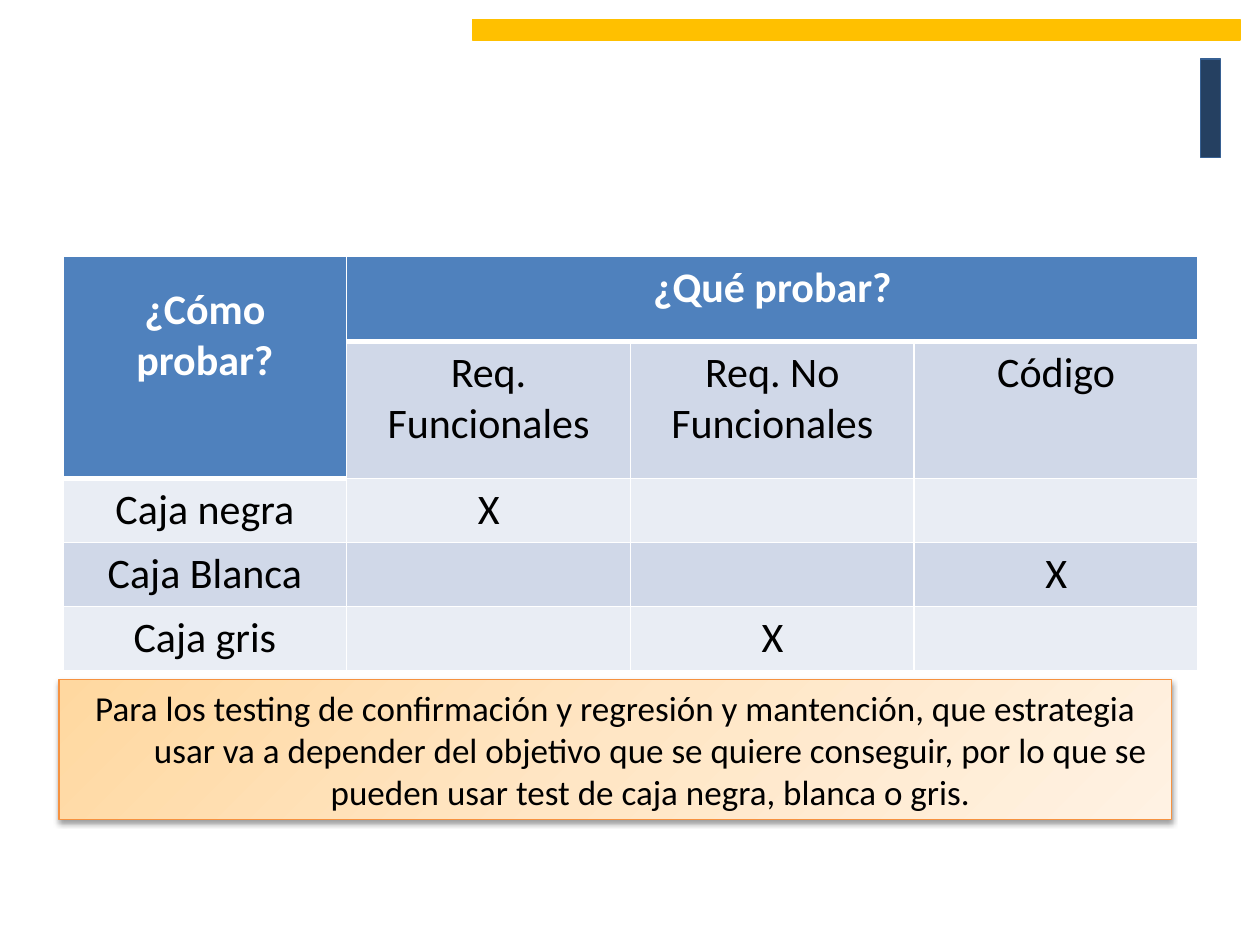
"""Builds a slide relating testing approaches to what is tested."""
from lxml import etree
from pptx import Presentation
from pptx.dml.color import RGBColor
from pptx.enum.shapes import MSO_SHAPE
from pptx.enum.text import MSO_ANCHOR, PP_ALIGN
from pptx.oxml import parse_xml
from pptx.oxml.ns import qn
from pptx.util import Cm, Pt

RECTANGLE = MSO_SHAPE.RECTANGLE
CENTER = PP_ALIGN.CENTER
MIDDLE = MSO_ANCHOR.MIDDLE
NAMESPACE = 'xmlns:a="http://schemas.openxmlformats.org/drawingml/2006/main"'
COLORS = {
    "white": "FFFFFF", "black": "000000", "navy": "254061", "navy line": "376092",
    "yellow": "FFC000", "header": "4F81BD", "dark band": "D0D8E8",
    "light band": "E9EDF4", "orange line": "F69240", "orange": "FFD8A0",
    "peach": "FFE6C5", "cream": "FFF2E3",
}


def rgb(name):
    return RGBColor.from_string(COLORS[name])


class SlideBuilder:
    """Holds the text style and the current slide."""

    def __init__(self, slide, font="Calibri"):
        self.slide = slide
        self.font = font

    def set_text(self, paragraph, text, size, color="black", bold=False):
        paragraph.text = text
        paragraph.alignment = CENTER
        font = paragraph.font
        font.name, font.size, font.bold = self.font, Pt(size), bold
        font.color.rgb = rgb(color)

    def rectangle(self, left, top, width, height, fill, line):
        shape = self.slide.shapes.add_shape(
            RECTANGLE, Cm(left), Cm(top), Cm(width), Cm(height))
        shape.shadow.inherit = False
        shape.fill.solid()
        shape.fill.fore_color.rgb = rgb(fill)
        shape.line.color.rgb = rgb(line)
        shape.line.width = Pt(0.75)
        return shape

    def note(self, left, top, width, height, text):
        shape = self.rectangle(left, top, width, height, "peach", "orange line")
        stops = "".join(
            f'<a:gs pos="{position}"><a:srgbClr val="{COLORS[name]}"/></a:gs>'
            for position, name in ((0, "orange"), (50000, "peach"), (100000, "cream")))
        properties = shape.element.spPr
        properties.replace(properties.find(qn("a:solidFill")), parse_xml(
            f'<a:gradFill {NAMESPACE} rotWithShape="1"><a:gsLst>{stops}</a:gsLst>'
            '<a:lin ang="2700000" scaled="0"/></a:gradFill>'))
        properties.find(qn("a:effectLst")).append(parse_xml(
            f'<a:outerShdw {NAMESPACE} blurRad="{Pt(3.1)}" dist="{Pt(1.6)}" dir="5400000" '
            f'rotWithShape="0"><a:srgbClr val="{COLORS["black"]}">'
            '<a:alpha val="38000"/></a:srgbClr></a:outerShdw>'))
        frame = shape.text_frame
        frame.word_wrap = True
        frame.vertical_anchor = MIDDLE
        paragraph = frame.paragraphs[0]
        self.set_text(paragraph, text, 20)
        indent = paragraph._p.get_or_add_pPr()
        indent.set("marL", str(Cm(1.42)))
        indent.set("indent", str(-Cm(1.42)))

    def border(self, cell, bottom):
        properties = cell._tc.get_or_add_tcPr()
        for side, width in (("L", 1), ("R", 1), ("T", 1), ("B", bottom)):
            line = etree.SubElement(properties, qn(f"a:ln{side}"), w=str(Pt(width)))
            fill = etree.SubElement(line, qn("a:solidFill"))
            etree.SubElement(fill, qn("a:srgbClr"), val=COLORS["white"])

    def table(self, left, top, column_width, row_heights, rows, merges):
        columns = len(rows[0])
        table = self.slide.shapes.add_table(
            len(rows), columns, Cm(left), Cm(top),
            Cm(column_width * columns), Cm(sum(row_heights))).table
        for column in table.columns:
            column.width = Cm(column_width)
        for row_index, texts in enumerate(rows):
            table.rows[row_index].height = Cm(row_heights[row_index])
            band = "dark band" if row_index % 2 else "light band"
            for column_index, text in enumerate(texts):
                cell = table.cell(row_index, column_index)
                header = row_index == 0 or (row_index, column_index) == (1, 0)
                self.border(cell, 3 if header else 1)
                cell.fill.solid()
                cell.fill.fore_color.rgb = rgb("header" if header else band)
                self.set_text(cell.text_frame.paragraphs[0], text, 24,
                              "white" if header else "black", header)
        for first, last in merges:
            table.cell(*first).merge(table.cell(*last))
        return table


presentation = Presentation()
presentation.slide_width, presentation.slide_height = Cm(25.4), Cm(19.05)
builder = SlideBuilder(presentation.slides.add_slide(presentation.slide_layouts[6]))

builder.rectangle(24.2, 1.19, 0.41, 1.98, "navy", "navy line")
builder.rectangle(9.53, 0.4, 15.47, 0.41, "yellow", "yellow")
strategies = builder.table(
    1.27, 5.16, 5.72, [1.72, 2.77, 1.29, 1.29, 1.29],
    [["¿Cómo probar?", "¿Qué probar?", "", ""],
     ["", "Req. Funcionales", "Req. No Funcionales", "Código"],
     ["Caja negra", "X", "", ""],
     ["Caja Blanca", "", "", "X"],
     ["Caja gris", "", "X", ""]],
    [((0, 0), (1, 0)), ((0, 1), (0, 3))])
strategies.cell(0, 0).margin_top = Cm(0.57)
builder.note(
    1.19, 13.7, 22.43, 2.82,
    "Para los testing de confirmación y regresión y mantención, que estrategia usar va a "
    "depender del objetivo que se quiere conseguir, por lo que se pueden usar test de "
    "caja negra, blanca o gris.")

presentation.save("out.pptx")
